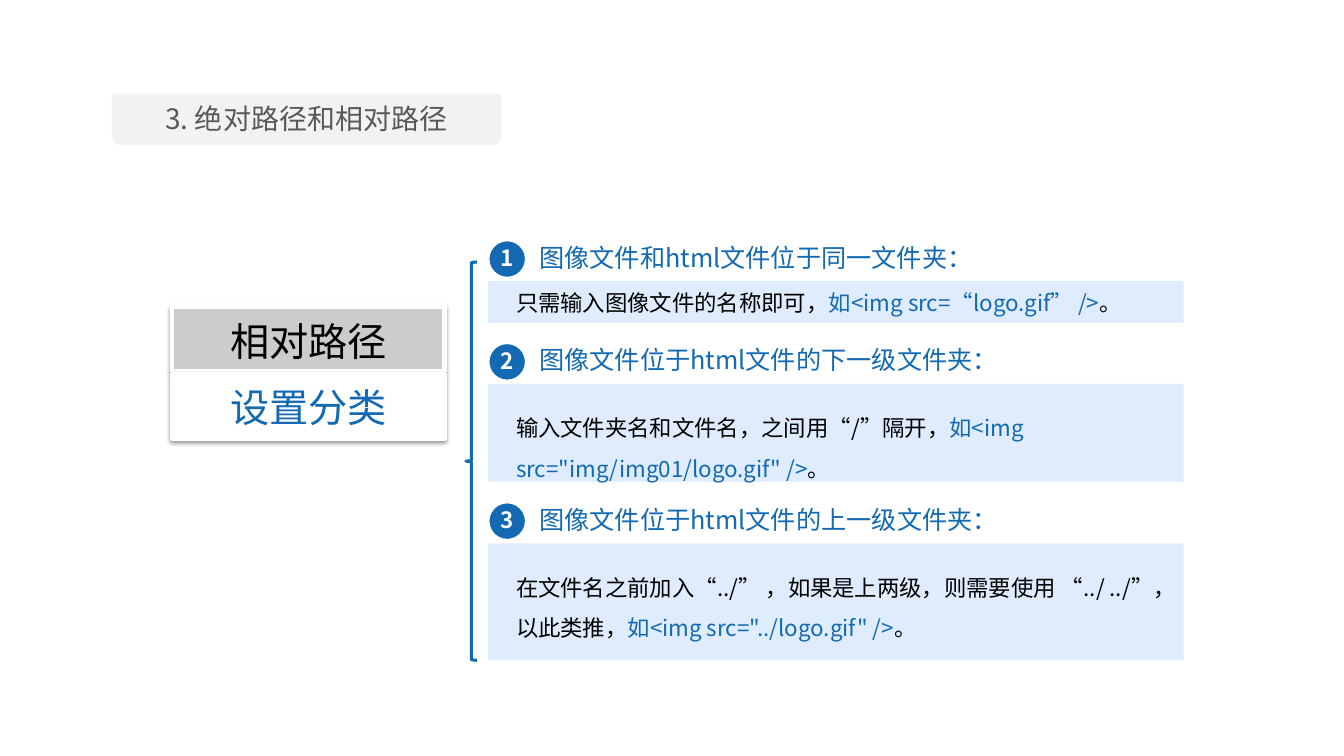
from lxml import etree
from pptx import Presentation
from pptx.dml.color import RGBColor
from pptx.enum.shapes import MSO_SHAPE
from pptx.enum.text import MSO_ANCHOR, MSO_AUTO_SIZE, PP_ALIGN
from pptx.oxml.ns import qn
from pptx.util import Inches, Pt

RECTANGLE, OVAL = MSO_SHAPE.RECTANGLE, MSO_SHAPE.OVAL
TAB, BRACE = MSO_SHAPE.ROUND_2_SAME_RECTANGLE, MSO_SHAPE.LEFT_BRACE
LEFT, CENTER = PP_ALIGN.LEFT, PP_ALIGN.CENTER
MIDDLE, GROW = MSO_ANCHOR.MIDDLE, MSO_AUTO_SIZE.SHAPE_TO_FIT_TEXT

FONT = "Noto Sans CJK SC"
BLUE, PALE_BLUE, WHITE, BLACK = "1369B2", "DBEBFD", "FFFFFF", "000000"
LIGHT_GREY, MID_GREY, DARK_GREY = "F2F2F2", "CCCCCC", "595959"


def color(hex_code):
    """Turn a hex string into a colour."""
    return RGBColor.from_string(hex_code)


def write(frame, runs, size=16, align=LEFT, spacing=1.0, bold=False):
    """Write (text, colour) runs as one formatted paragraph."""
    paragraph = frame.paragraphs[0]
    paragraph.alignment = align
    paragraph.line_spacing = spacing
    for words, shade in runs:
        run = paragraph.add_run()
        run.text = words
        run.font.name = FONT
        run.font.size = Pt(size)
        run.font.bold = bold
        run.font.color.rgb = color(shade)
        etree.SubElement(run.font._element, qn("a:ea"), typeface=FONT)


class PathSlide:
    """Draws elements on one slide, on a grid of tenth-inch cells."""

    def __init__(self, deck):
        """Add a blank slide to the deck."""
        self.shapes = deck.slides.add_slide(deck.slide_layouts[6]).shapes

    def place(self, *cells):
        """Turn grid cells into lengths."""
        return [Inches(cell / 10) for cell in cells]

    def shape(self, kind, box, fill=None, line=None, width=1):
        """Draw a preset shape without a shadow."""
        drawn = self.shapes.add_shape(kind, *self.place(*box))
        drawn.shadow.inherit = False
        if fill:
            drawn.fill.solid()
            drawn.fill.fore_color.rgb = color(fill)
        else:
            drawn.fill.background()
        if line:
            drawn.line.color.rgb = color(line)
            drawn.line.width = Pt(width)
        else:
            drawn.line.fill.background()
        return drawn

    def panel(self, box, fill):
        """Draw a white-edged panel with a soft shadow below."""
        drawn = self.shape(RECTANGLE, box, fill, WHITE, 3)
        effects = drawn._element.spPr.find(qn("a:effectLst"))
        shadow = etree.SubElement(effects, qn("a:outerShdw"), blurRad=str(Pt(3.1)),
                                  dist=str(Pt(1.6)), dir="5400000", rotWithShape="0")
        shade = etree.SubElement(shadow, qn("a:srgbClr"), val=BLACK)
        etree.SubElement(shade, qn("a:alpha"), val="38000")

    def band(self, box):
        """Draw a slightly transparent pale band."""
        drawn = self.shape(RECTANGLE, box, PALE_BLUE)
        shade = drawn._element.spPr.find(qn("a:solidFill"))[0]
        etree.SubElement(shade, qn("a:alpha"), val="90000")

    def badge(self, number, box):
        """Draw a numbered circle."""
        frame = self.shape(OVAL, box, BLUE, WHITE, 2).text_frame
        frame.margin_left = frame.margin_right = frame.margin_top = frame.margin_bottom = 0
        frame.vertical_anchor = MIDDLE
        frame.word_wrap = False
        write(frame, [(str(number), WHITE)], align=CENTER, spacing=0.9, bold=True)

    def text(self, box, runs, wrap=True, **style):
        """Add a text box that grows with its text."""
        frame = self.shapes.add_textbox(*self.place(*box)).text_frame
        frame.word_wrap = wrap
        frame.auto_size = GROW
        write(frame, runs, **style)

    def brace(self, box):
        """Draw the brace that gathers the cases."""
        drawn = self.shape(BRACE, box, line=BLUE, width=2.25)
        drawn.adjustments[0] = 0.083
        drawn.adjustments[1] = 0.5


CASES = [
    ("图像文件和html文件位于同一文件夹：", "只需输入图像文件的名称即可，",
     "如<img src=“logo.gif” />", 4.1, 0.3, 69, 1.0),
    ("图像文件位于html文件的下一级文件夹：", "输入文件夹名和文件名，之间用“/”隔开，",
     '如<img src="img/img01/logo.gif" />', 9.7, 1.2, 67.3, 1.5),
    ("图像文件位于html文件的上一级文件夹：",
     "在文件名之前加入“../” ，如果是上两级，则需要使用 “../ ../”，以此类推，",
     '如<img src="../logo.gif" />', 11.6, 1.2, 65.7, 1.5),
]
LABELS = [("相对路径", MID_GREY, BLACK), ("设置分类", WHITE, BLUE)]
CASE_LEFT, CASE_TOP, HEADING_ROWS, CASE_GAP = 48.4, 23.8, 4.1, 2


def main():
    """Build and save the slide."""
    deck = Presentation()
    deck.slide_width, deck.slide_height = Inches(13.33), Inches(7.5)
    page = PathSlide(deck)

    page.shape(TAB, (11.1, 9.3, 38.6, 5.1), LIGHT_GREY).rotation = 180
    page.text((11.1, 9.6, 38.6, 4.4), [("3. 绝对路径和相对路径", DARK_GREY)],
              size=20, align=CENTER)

    for row, (label, fill, ink) in enumerate(LABELS):
        page.panel((17.1, 30.4 + 6.7 * row, 27, 6.4), fill)
        page.text((17.1, 31 + 6.5 * row, 27, 5.7), [(label, ink)], size=28, align=CENTER)

    page.brace((46.2, 26, 1.1, 39.5))

    top = CASE_TOP
    for number, (heading, rule, code, rows, inset, columns, spacing) in enumerate(CASES, 1):
        band_top = top + HEADING_ROWS
        page.badge(number, (CASE_LEFT, top, 3.8, 3.8))
        page.text((52.5, top - 0.3, 47.9 if number > 1 else 45.4, 4),
                  [(heading, BLUE)], wrap=False, size=18)
        page.band((CASE_LEFT, band_top, 69, rows))
        page.text((50.2, band_top + inset, columns, rows - inset),
                  [(rule, BLACK), (code, BLUE), ("。", BLACK)], spacing=spacing)
        top = band_top + rows + CASE_GAP

    deck.save("out.pptx")


if __name__ == "__main__":
    main()
